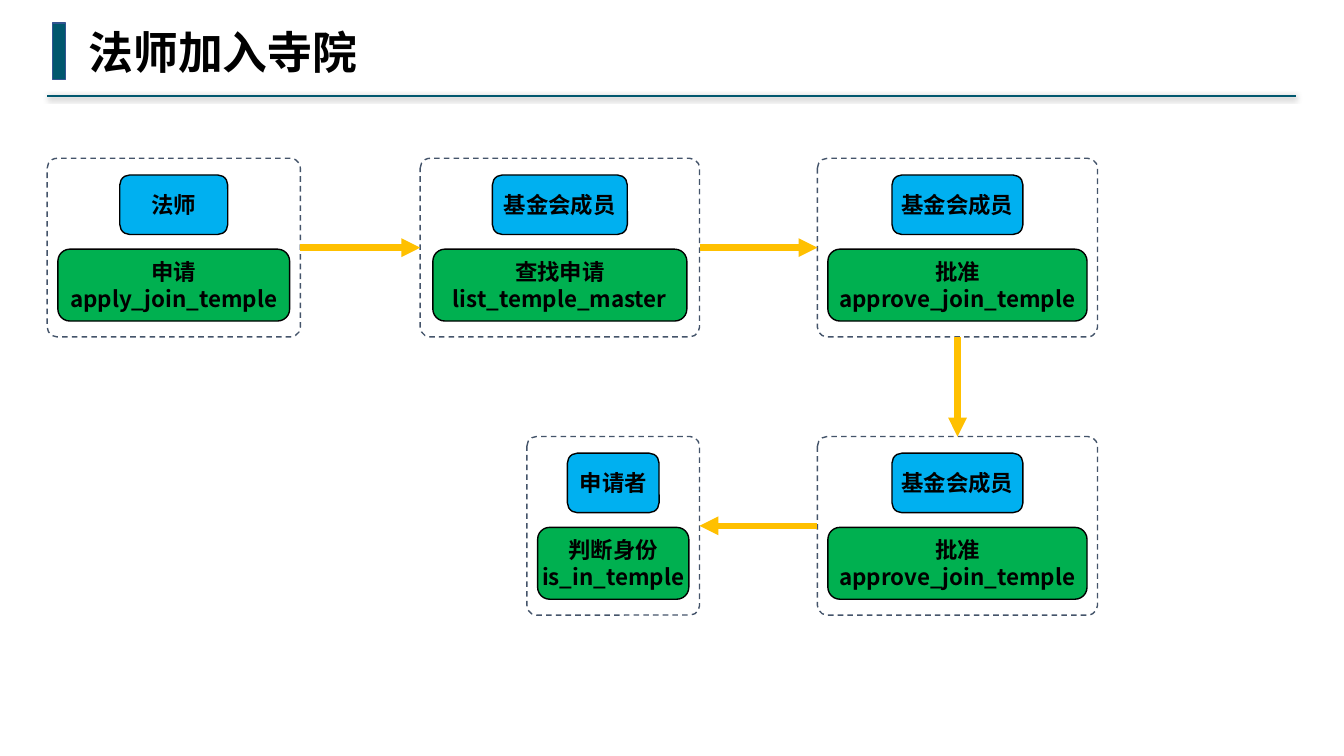
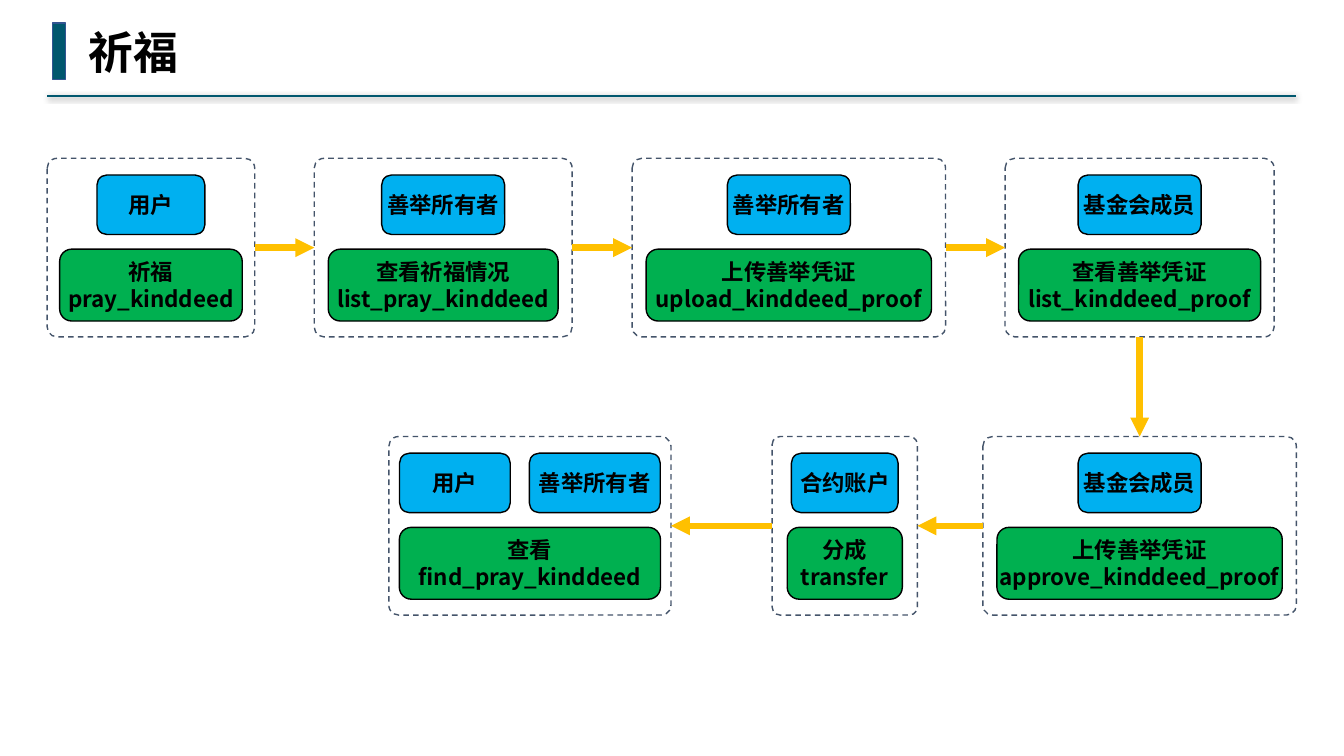
from typing import NamedTuple

from lxml.etree import SubElement
from pptx import Presentation
from pptx.dml.color import RGBColor
from pptx.enum.dml import MSO_LINE
from pptx.enum.shapes import MSO_CONNECTOR, MSO_SHAPE
from pptx.enum.text import MSO_ANCHOR, MSO_AUTO_SIZE, PP_ALIGN
from pptx.oxml.ns import qn
from pptx.util import Cm, Pt

TEAL, TEAL_EDGE = "00576E", "325491"
BLACK, PANEL_EDGE = "000000", "44546A"
ROLE_BLUE, ACTION_GREEN, ARROW_GOLD = "00B0F0", "00B050", "FFC000"
BODY_FONT, TITLE_FONT = "Noto Sans CJK SC", "DejaVu Sans Mono"
TITLE_SIZE = 32

# All layout measures are in centimetres.
ROW_TOPS = (3.99, 11)
PANEL_HEIGHT = 4.5
ROLE_OFFSET, ROLE_HEIGHT, ROLE_GAP = 0.42, 1.5, 0.48
ACTION_OFFSET, ACTION_HEIGHT = 2.29, 1.81
TOP_SITE, LEFT_SITE, BOTTOM_SITE, RIGHT_SITE = range(4)


class Step(NamedTuple):
    """One panel of a flow; roles pairs each label with its width."""
    row: int
    left: float
    width: float
    roles: tuple
    action: str
    function: str
    action_width: float


JOIN_STEPS = (
    Step(0, 1.19, 6.38, (("法师", 2.72),), "申请", "apply_join_temple", 5.84),
    Step(0, 10.59, 7.04, (("基金会成员", 3.4),),
         "查找申请", "list_temple_master", 6.4),
    Step(0, 20.6, 7.06, (("基金会成员", 3.3),),
         "批准", "approve_join_temple", 6.53),
    Step(1, 20.6, 7.06, (("基金会成员", 3.3),),
         "批准", "approve_join_temple", 6.53),
    Step(1, 13.28, 4.35, (("申请者", 2.31),), "判断身份", "is_in_temple", 3.81),
)
PRAY_STEPS = (
    Step(0, 1.19, 5.23, (("用户", 2.72),), "祈福", "pray_kinddeed", 4.6),
    Step(0, 7.92, 6.5, (("善举所有者", 3.1),),
         "查看祈福情况", "list_pray_kinddeed", 5.79),
    Step(0, 15.93, 7.9, (("善举所有者", 3.1),),
         "上传善举凭证", "upload_kinddeed_proof", 7.19),
    Step(0, 25.33, 6.78, (("基金会成员", 3.1),),
         "查看善举凭证", "list_kinddeed_proof", 6.1),
    Step(1, 24.77, 7.9, (("基金会成员", 3.1),),
         "上传善举凭证", "approve_kinddeed_proof", 7.19),
    Step(1, 19.46, 3.66, (("合约账户", 2.69),), "分成", "transfer", 2.9),
    Step(1, 9.8, 7.11, (("用户", 2.79), ("善举所有者", 3.3)),
         "查看", "find_pray_kinddeed", 6.58),
)


def rgb(value):
    return RGBColor.from_string(value)


def write_text(frame, *lines, size=16, font=BODY_FONT, color=BLACK,
               align=PP_ALIGN.CENTER, inset=0.1):
    """Fill a frame with bold, unwrapped, vertically centred lines."""
    frame.word_wrap = False
    frame.auto_size = MSO_AUTO_SIZE.NONE
    frame.vertical_anchor = MSO_ANCHOR.MIDDLE
    frame.margin_left = frame.margin_right = Cm(inset)
    frame.margin_top = frame.margin_bottom = Cm(0.1)
    for index, line in enumerate(lines):
        paragraph = frame.add_paragraph() if index else frame.paragraphs[0]
        paragraph.alignment = align
        run = paragraph.add_run()
        run.text = line
        run.font.size = Pt(size)
        run.font.name = font
        run.font.bold = True
        run.font.color.rgb = rgb(color)
        east_asian = SubElement(run.font._element, qn("a:ea"))
        east_asian.set("typeface", BODY_FONT)


def add_box(slide, left, top, width, height, edge, fill=None,
            preset=MSO_SHAPE.ROUNDED_RECTANGLE):
    box = slide.shapes.add_shape(preset, Cm(left), Cm(top), Cm(width), Cm(height))
    box.shadow.inherit = False
    box.line.color.rgb = rgb(edge)
    box.line.width = Pt(1)
    if fill:
        box.fill.solid()
        box.fill.fore_color.rgb = rgb(fill)
    else:
        box.fill.background()
    return box


def add_line(slide, start, end, color, weight):
    """Draw a straight connector; return it with its empty effect list."""
    line = slide.shapes.add_connector(
        MSO_CONNECTOR.STRAIGHT, *(Cm(value) for value in start + end))
    line.line.color.rgb = rgb(color)
    line.line.width = Pt(weight)
    effects = SubElement(line._element.spPr, qn("a:effectLst"))
    return line, effects


def add_heading(slide, title):
    _, effects = add_line(slide, (32.66, 2.41), (1.19, 2.41), TEAL, 1.5)
    shadow = SubElement(effects, qn("a:outerShdw"), blurRad=str(Pt(4)),
                        dist=str(Pt(1)), dir="5400000", algn="t", rotWithShape="0")
    shade = SubElement(shadow, qn("a:srgbClr"), val=BLACK)
    SubElement(shade, qn("a:alpha"), val="40000")

    add_box(slide, 1.32, 0.58, 0.33, 1.42, TEAL_EDGE, TEAL, MSO_SHAPE.RECTANGLE)

    heading = slide.shapes.title
    heading.left, heading.top = Cm(1.98), Cm(0.48)
    heading.width = Pt(TITLE_SIZE) * len(title) + Cm(0.52)
    heading.height = Cm(1.63)
    write_text(heading.text_frame, title, size=TITLE_SIZE, font=TITLE_FONT,
               align=PP_ALIGN.LEFT, inset=0.25)


def add_step(slide, step):
    """Draw a dashed panel holding its roles above its action."""
    top = ROW_TOPS[step.row]
    center = step.left + step.width / 2
    panel = add_box(slide, step.left, top, step.width, PANEL_HEIGHT, PANEL_EDGE)
    panel.adjustments[0] = 0.055
    panel.line.dash_style = MSO_LINE.DASH

    roles_width = sum(width for _, width in step.roles)
    roles_width += ROLE_GAP * (len(step.roles) - 1)
    role_left = center - roles_width / 2
    for label, width in step.roles:
        role = add_box(slide, role_left, top + ROLE_OFFSET, width, ROLE_HEIGHT,
                       BLACK, ROLE_BLUE)
        write_text(role.text_frame, label)
        role_left += width + ROLE_GAP

    action = add_box(slide, center - step.action_width / 2, top + ACTION_OFFSET,
                     step.action_width, ACTION_HEIGHT, BLACK, ACTION_GREEN)
    write_text(action.text_frame, step.action, step.function)
    return panel


def add_arrow(slide, source, target):
    """Join two panels: down between rows, sideways within one."""
    if source.top != target.top:
        sites = BOTTOM_SITE, TOP_SITE
    elif source.left < target.left:
        sites = RIGHT_SITE, LEFT_SITE
    else:
        sites = LEFT_SITE, RIGHT_SITE
    arrow, _ = add_line(slide, (0, 0), (0, 0), ARROW_GOLD, 4.5)
    SubElement(arrow.line._get_or_add_ln(), qn("a:tailEnd"), type="triangle")
    arrow.begin_connect(source, sites[0])
    arrow.end_connect(target, sites[1])


def add_flow_slide(deck, title, steps):
    slide = deck.slides.add_slide(deck.slide_layouts.get_by_name("Title Only"))
    add_heading(slide, title)
    panels = [add_step(slide, step) for step in steps]
    for source, target in zip(panels, panels[1:]):
        add_arrow(slide, source, target)


def main():
    deck = Presentation()
    deck.slide_width, deck.slide_height = Cm(33.87), Cm(19.05)
    add_flow_slide(deck, "法师加入寺院", JOIN_STEPS)
    add_flow_slide(deck, "祈福", PRAY_STEPS)
    deck.save("out.pptx")


if __name__ == "__main__":
    main()
